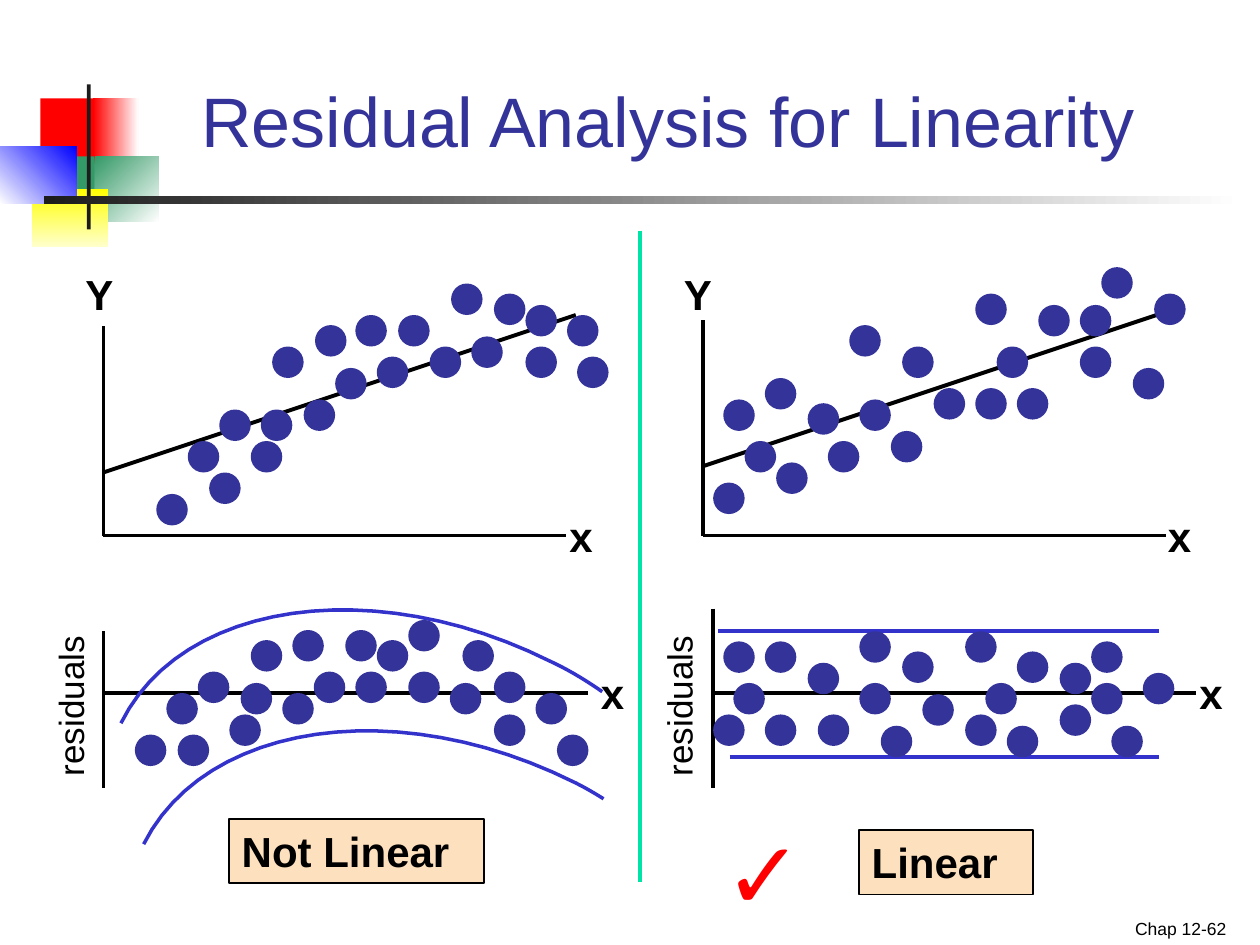
from pptx import Presentation
from pptx import util as u
from pptx.dml.color import RGBColor
from pptx.enum import shapes, text
from pptx.oxml import parse_xml
from pptx.oxml.ns import nsdecls

Inches, Pt = u.Inches, u.Pt
FONT = "Arial"
DOT = 0.25
COLORS = {
    "black": "000000", "ink": "1C1C1C", "white": "FFFFFF", "red": "FF0000",
    "green": "339966", "yellow": "FFFF00", "cream": "FFFFCC", "blue": "0000FF",
    "navy": "333399", "band": "3333CC", "label": "FDE0BD", "divider": "00E4A8",
}

# Dot corners, relative to the box of each plot
CURVED_DOTS = [
    (1.24, 1.92), (1.66, 1.75), (3.16, 0.5), (3.41, 0.75), (3.92, 0.33),
    (1.99, 1.5), (3.74, 0.67), (4.17, 0.75), (4.17, 0.42), (4.5, 0.5),
    (3.58, 0.25), (2.66, 0.92), (2.82, 0.5), (2.5, 0.58), (1.49, 1.5),
    (1.74, 1.25), (2.07, 1.25), (2.99, 0.83), (2.16, 0.75), (4.58, 0.83),
    (2.41, 1.17),
]
STRAIGHT_DOTS = [
    (0.66, 1.83), (0.91, 1.5), (2.74, 0.33), (2.91, 0.75), (3.57, 0.42),
    (1.16, 1.67), (3.07, 1.08), (3.57, 0.75), (3.74, 0.12), (3.24, 0.42),
    (2.07, 1.42), (2.16, 0.75), (1.74, 0.58), (0.74, 1.17), (1.07, 1),
    (1.41, 1.2), (2.41, 1.08), (1.82, 1.17), (3.99, 0.92), (1.57, 1.5),
    (4.16, 0.33), (2.74, 1.08),
]
CURVED_RESIDUALS = [
    (1.07, 1.33), (1.41, 1.33), (2.99, 0.58), (3.24, 0.42), (3.57, 0.92),
    (1.82, 1.17), (3.67, 0.58), (3.92, 1.17), (3.92, 0.83), (4.25, 1),
    (3.24, 0.83), (2.49, 0.83), (2.74, 0.5), (2.32, 0.5), (1.32, 1),
    (1.57, 0.83), (1.91, 0.92), (2.82, 0.83), (1.99, 0.58), (4.42, 1.33),
    (2.24, 1),
]
STRAIGHT_RESIDUALS = [
    (1.41, 0.76), (1.07, 0.59), (0.66, 1.17), (0.82, 0.92), (0.74, 0.59),
    (1.82, 0.92), (1.82, 0.51), (1.07, 1.17), (2.66, 0.51), (2.16, 0.67),
    (1.99, 1.26), (1.49, 1.17), (3.41, 0.76), (2.66, 1.17), (2.32, 1.01),
    (3.41, 1.09), (2.82, 0.92), (2.99, 1.26), (3.07, 0.67), (3.82, 1.26),
    (3.66, 0.59), (4.07, 0.84), (3.66, 0.92),
]
# Each band edge is a chain of cubic curves: start, then three points per curve
CURVED_BANDS = [
    [(0.96, 1.24), (1.44, 0.27), (2.97, 0.05), (4.37, 0.75),
     (4.52, 0.82), (4.65, 0.9), (4.78, 0.99)],
    [(1.14, 2.2), (1.63, 1.23), (3.16, 1.01), (4.56, 1.71),
     (4.64, 1.75), (4.71, 1.79), (4.79, 1.84)],
]
STRAIGHT_BANDS = [[(0.7, 0.51), (4.2, 0.51)], [(0.79, 1.51), (4.2, 1.51)]]


def rgb(name):
    return RGBColor.from_string(COLORS[name])


def add_run(tf, words, size, color="black", bold=False, align=text.PP_ALIGN.LEFT):
    p = tf.paragraphs[0]
    p.alignment = align
    p.space_before = Pt(0)
    r = p.add_run()
    r.text = words
    r.font.name, r.font.size, r.font.bold = FONT, Pt(size), bold
    r.font.color.rgb = rgb(color)


def add_text(s, box, words, size, wrap=True, rotation=0, **style):
    sp = s.shapes.add_textbox(*map(Inches, box))
    sp.rotation = rotation
    sp.text_frame.word_wrap = wrap
    add_run(sp.text_frame, words, size, **style)
    return sp


def add_line(s, box, start, end, color="black", width=2):
    x, y = box
    sp = s.shapes.add_connector(
        shapes.MSO_CONNECTOR.STRAIGHT, Inches(x + start[0]), Inches(y + start[1]),
        Inches(x + end[0]), Inches(y + end[1]))
    sp.line.color.rgb = rgb(color)
    sp.line.width = Pt(width)
    sp._element.spPr.append(parse_xml(f"<a:effectLst {nsdecls('a')}/>"))


def add_block(s, box, color, to=None, angle=0, kind=shapes.MSO_SHAPE.RECTANGLE):
    """Plain or two-colour shape; angle runs clockwise."""
    sp = s.shapes.add_shape(kind, *map(Inches, box))
    sp.shadow.inherit = False
    sp.line.fill.background()
    if to:
        sp.fill.gradient()
        sp.fill.gradient_angle = -angle % 360
        for stop, name in zip(sp.fill.gradient_stops, (color, to)):
            stop.color.rgb = rgb(name)
    else:
        sp.fill.solid()
        sp.fill.fore_color.rgb = rgb(color)
    return sp


def add_dots(s, box, dots):
    for dx, dy in dots:
        add_block(s, (box[0] + dx, box[1] + dy, DOT, DOT), "navy",
                  kind=shapes.MSO_SHAPE.OVAL)


def add_curve(s, box, points, steps=24):
    path = [points[0]]
    for i in range(0, len(points) - 1, 3):
        for k in range(1, steps + 1):
            t = k / steps
            weights = ((1 - t) ** 3, 3 * t * (1 - t) ** 2, 3 * t * t * (1 - t), t ** 3)
            path.append(tuple(sum(w * pt[axis] for w, pt in zip(weights, points[i:i + 4]))
                              for axis in (0, 1)))
    path = [(Inches(box[0] + x), Inches(box[1] + y)) for x, y in path]
    builder = s.shapes.build_freeform(*path[0])
    builder.add_line_segments(path[1:], close=False)
    sp = builder.convert_to_shape()
    sp.shadow.inherit = False
    sp.fill.background()
    sp.line.color.rgb = rgb("band")
    sp.line.width = Pt(2)


def add_header(s, box):
    x, y = box
    # Coloured squares with crossing rules
    for (dx, dy, w, h), *fill in [
        ((0.32, 0.78, 0.48, 0.52), "red"),
        ((0.74, 0.78, 0.36, 0.52), "red", "white", 0),
        ((0.75, 1.24, 0.51, 0.52), "green", "white", 45),
        ((0.43, 1.24, 0.32, 0.52), "green"),
        ((0.25, 1.5, 0.61, 0.46), "yellow", "cream", 90),
        ((0, 1.16, 0.61, 0.46), "white", "blue", 315),
        ((0.69, 0.67, 0.03, 1.15), "ink"),
        ((0.35, 1.56, 9.51, 0.06), "ink", "white", 0),
    ]:
        add_block(s, (x + dx, y + dy, w, h), *fill)
    # Title
    sp = s.shapes.title
    sp.left, sp.top, sp.width, sp.height = map(Inches, (x + 1.43, y + 0.25, 7.74, 1.08))
    tf = sp.text_frame
    tf.auto_size = text.MSO_AUTO_SIZE.NONE
    tf.vertical_anchor = text.MSO_ANCHOR.BOTTOM
    add_run(tf, "Residual Analysis for Linearity", 40, "navy", align=text.PP_ALIGN.CENTER)


def add_scatter(s, box, origin, top, trend_y, dots, y_left, x_left):
    x, y = box
    base = 2.25
    add_line(s, box, (origin, top), (origin, base))
    add_line(s, box, (origin, base), (origin + 3.67, base))
    add_line(s, box, (origin, trend_y), (origin + 3.75, trend_y - 1.25), width=2.25)
    add_dots(s, box, dots)
    add_text(s, (x + y_left, y + 0.08, 0.42, 0.5), "Y", 24, wrap=False, bold=True)
    add_text(s, (x + x_left, y + 2, 0.45, 0.5), "x", 24, bold=True)


def add_residuals(s, box, origin, top, end, bands, dots, name_left, x_left):
    x, y = box
    add_line(s, box, (origin, top), (origin, 1.75))
    add_line(s, box, (origin, 1), (end, 1))
    for band in bands:
        if len(band) == 2:
            add_line(s, box, *band, color="band")
        else:
            add_curve(s, box, band)
    add_dots(s, box, dots)
    add_text(s, (x + x_left, y + 0.75, 0.43, 0.5), "x", 24, bold=True)
    add_text(s, (x + name_left, y + 0.83, 1.43, 0.43), "residuals", 20, rotation=270)


def add_verdict(s, box, words):
    sp = add_text(s, box, words, 24, bold=True)
    sp.fill.solid()
    sp.fill.fore_color.rgb = rgb("label")
    sp.line.color.rgb = rgb("black")
    sp.line.width = Pt(1)


def main():
    prs = Presentation()
    prs.slide_width, prs.slide_height = Inches(10), Inches(7.5)
    s = prs.slides.add_slide(prs.slide_layouts[5])
    add_header(s, (0, 0))

    # Verdicts
    add_verdict(s, (1.82, 6.5, 2.02, 0.51), "Not Linear")
    add_verdict(s, (6.82, 6.59, 1.38, 0.51), "Linear")
    add_text(s, (5.65, 6.42, 1.43, 1), "✓", 54, color="red")

    # Left column: not linear
    add_residuals(s, (0, 4.5), 0.82, 0.51, 4.67, CURVED_BANDS, CURVED_RESIDUALS, -0.16, 4.67)
    add_scatter(s, (0, 2), 0.82, 0.59, 1.75, CURVED_DOTS, 0.58, 4.42)

    # Right column: linear
    add_residuals(s, (5, 4.5), 0.66, 0.33, 4.49, STRAIGHT_BANDS, STRAIGHT_RESIDUALS, -0.33, 4.42)
    add_scatter(s, (5, 2), 0.58, 0.54, 1.7, STRAIGHT_DOTS, 0.33, 4.17)

    # Column divider and page number
    add_line(s, (5.08, 1.83), (0, 0), (0, 5.17), "divider", 2.25)
    sp = add_text(s, (7.5, 7.15, 2.33, 0.35), "Chap 12-62", 10, align=text.PP_ALIGN.RIGHT)
    sp.text_frame.vertical_anchor = text.MSO_ANCHOR.BOTTOM
    prs.save("out.pptx")


if __name__ == "__main__":
    main()
